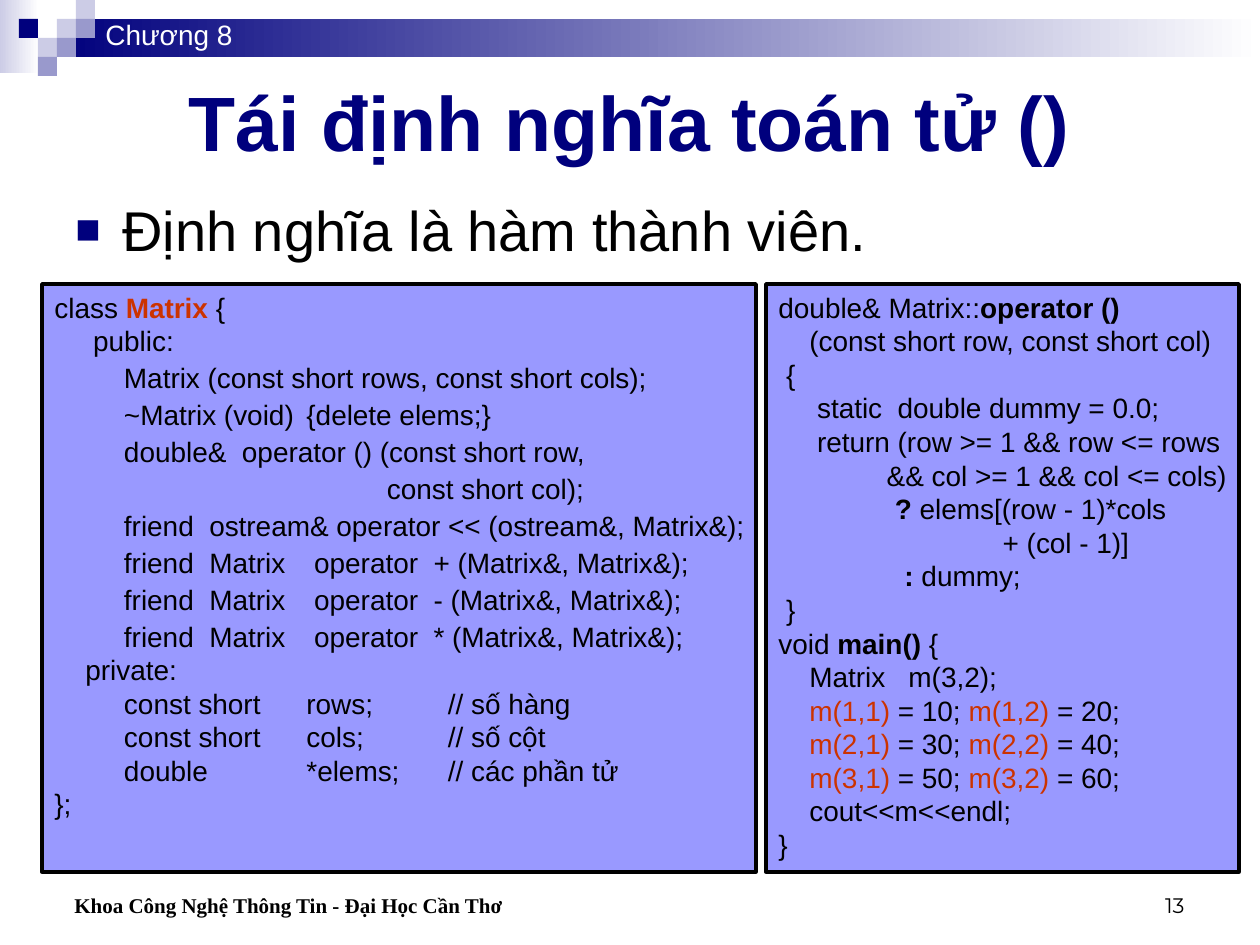
from dataclasses import dataclass

from lxml.etree import SubElement
from pptx import Presentation
from pptx.dml.color import RGBColor
from pptx.enum.shapes import MSO_SHAPE
from pptx.enum.text import MSO_ANCHOR, PP_ALIGN
from pptx.oxml.ns import qn
from pptx.util import Pt

EMU_PER_PX = 914400 / 126


def px(length):
    return round(length * EMU_PER_PX)


@dataclass(frozen=True)
class Theme:
    navy: str = "00007D"
    lavender: str = "CCCCE6"
    violet: str = "9999CC"
    panel: str = "9999FF"
    accent: str = "CC3300"
    black: str = "000000"
    white: str = "FFFFFF"
    sans: str = "Arial"
    serif: str = "Times New Roman"
    number: str = "Montserrat"
    title_size: int = 44
    body_size: int = 32
    code_size: int = 16
    footer_size: int = 12


class SlideBuilder:
    def __init__(self, slide, theme):
        self.shapes = slide.shapes
        self.theme = theme

    def rectangle(self, left, top, width, height, color):
        shape = self.shapes.add_shape(MSO_SHAPE.RECTANGLE, px(left), px(top), px(width), px(height))
        shape.shadow.inherit = False
        shape.fill.solid()
        shape.fill.fore_color.rgb = RGBColor.from_string(color)
        shape.line.fill.background()
        return shape

    def fading_band(self, left, top, width, height, color):
        """Rectangle that fades from color on the left to white on the right."""
        band = self.rectangle(left, top, width, height, color)
        band.fill.gradient()
        band.fill.gradient_angle = 180
        for stop, position, shade in zip(band.fill.gradient_stops, (0, 1), (self.theme.white, color)):
            stop.position = position
            stop.color.rgb = RGBColor.from_string(shade)

    def format_run(self, run, size, color, font, bold=False):
        run.font.size = Pt(size)
        run.font.name = font
        run.font.bold = bold
        run.font.color.rgb = RGBColor.from_string(color)

    def text(self, box, words, size, color, font=None, bold=False,
             align=PP_ALIGN.LEFT, anchor=MSO_ANCHOR.TOP):
        frame = self.shapes.add_textbox(*map(px, box)).text_frame
        frame.word_wrap = True
        frame.vertical_anchor = anchor
        frame.text = words
        paragraph = frame.paragraphs[0]
        paragraph.alignment = align
        self.format_run(paragraph.runs[0], size, color, font or self.theme.sans, bold)
        return paragraph

    def bullet(self, box, words):
        theme = self.theme
        paragraph = self.text(box, words, theme.body_size, theme.black)
        props = self.indent(paragraph, 47, -47)
        SubElement(SubElement(props, qn("a:buClr")), qn("a:srgbClr"), val=theme.navy)
        SubElement(props, qn("a:buSzPct"), val="75000")
        SubElement(props, qn("a:buFont"), typeface=theme.sans)
        SubElement(props, qn("a:buChar"), char="■")

    def indent(self, paragraph, left, first=0):
        props = paragraph._p.get_or_add_pPr()
        props.set("marL", str(px(left)))
        props.set("indent", str(px(first)))
        return props

    def code_panel(self, left, width, lines, loose=()):
        """Code box; lines are lists of (text, color, bold), loose holds the wider-spaced rows."""
        theme = self.theme
        panel = self.rectangle(left, 284, width, 588, theme.panel)
        panel.line.color.rgb = RGBColor.from_string(theme.black)
        panel.line.width = Pt(2)
        frame = panel.text_frame
        frame.word_wrap = False
        frame.vertical_anchor = MSO_ANCHOR.TOP
        for row, pieces in enumerate(lines):
            paragraph = frame.add_paragraph() if row else frame.paragraphs[0]
            tabs = SubElement(paragraph._p.get_or_add_pPr(), qn("a:tabLst"))
            for inch in range(1, 8):
                SubElement(tabs, qn("a:tab"), pos=str(px(126 * inch)), algn="l")
            paragraph.alignment = PP_ALIGN.LEFT
            if row in loose:
                paragraph.line_spacing = 1.1
            for words, color, bold in pieces:
                run = paragraph.add_run()
                run.text = words
                self.format_run(run, theme.code_size, color, theme.sans, bold)


def plain(words):
    return (words, Theme.black, False)


def strong(words):
    return (words, Theme.black, True)


def red(words, bold=False):
    return (words, Theme.accent, bold)


def class_lines():
    operators = [f"         friend  Matrix\t operator  {sign} (Matrix&, Matrix&);" for sign in "+-*"]
    members = [
        f"         {kind}\t{name};\t  // {note}"
        for kind, name, note in (
            ("const short", "rows", "số hàng"),
            ("const short", "cols", "số cột"),
            ("double", "*elems", "các phần tử"),
        )
    ]
    rest = [
        "     public:",
        "         Matrix (const short rows, const short cols);",
        "         ~Matrix (void)\t{delete elems;}",
        "         double&  operator () (const short row,",
        "                                           const short col);",
        "         friend  ostream& operator << (ostream&, Matrix&);",
        *operators,
        "    private:",
        *members,
        "};",
    ]
    return [[plain("class "), red("Matrix", True), plain(" {")]] + [[plain(line)] for line in rest]


def usage_lines():
    assignments = [
        [plain("    "), red(f"m({row},1)"), plain(f" = {20 * row - 10}; "),
         red(f"m({row},2)"), plain(f" = {20 * row};")]
        for row in (1, 2, 3)
    ]
    return [
        [plain("double& Matrix::"), strong("operator ()")],
        [plain("    (const short row, const short col)")],
        [plain(" {")],
        [plain("     static  double dummy = 0.0;")],
        [plain("     return (row >= 1 && row <= rows")],
        [plain("              && col >= 1 && col <= cols)")],
        [plain("               "), strong("?"), plain(" elems[(row - 1)*cols")],
        [plain("                             + (col - 1)]")],
        [plain("\t"), strong(": "), plain("dummy;")],
        [plain(" }")],
        [plain("void "), strong("main()"), plain(" {")],
        [plain("    Matrix   m(3,2);")],
        *assignments,
        [plain("    cout<<m<<endl;")],
        [plain("}")],
    ]


def main():
    theme = Theme()
    deck = Presentation()
    deck.slide_width, deck.slide_height = px(1260), px(945)
    builder = SlideBuilder(deck.slides.add_slide(deck.slide_layouts[6]), theme)

    builder.fading_band(0, 0, 39, 73, theme.lavender)
    builder.fading_band(57, 19, 1203, 38, theme.navy)
    tile = 19
    for column, row, color in (
        (3, 1, theme.lavender), (4, 0, theme.lavender), (4, 1, theme.violet),
        (2, 2, theme.lavender), (1, 1, theme.navy), (3, 2, theme.violet), (2, 3, theme.violet),
    ):
        builder.rectangle(column * tile, row * tile, tile, tile, color)

    builder.text((63, 63, 1134, 116), "Tái định nghĩa toán tử ()", theme.title_size, theme.navy,
                 bold=True, align=PP_ALIGN.CENTER, anchor=MSO_ANCHOR.MIDDLE)
    builder.bullet((63, 189, 829, 84), "Định nghĩa là hàm thành viên.")
    builder.code_panel(42, 714, class_lines(), loose=range(2, 10))
    builder.code_panel(766, 473, usage_lines())
    builder.text((93, 11, 220, 47), "Chương 8", theme.code_size, theme.white)
    footer = builder.text((32, 861, 609, 63), "Khoa Công Nghệ Thông Tin - Đại Học Cần Thơ",
                          theme.footer_size, theme.black, theme.serif, True, anchor=MSO_ANCHOR.BOTTOM)
    builder.indent(footer, 30)
    builder.text((903, 861, 294, 63), "13", theme.footer_size, theme.black, theme.number,
                 align=PP_ALIGN.RIGHT, anchor=MSO_ANCHOR.BOTTOM)
    deck.save("out.pptx")


if __name__ == "__main__":
    main()
